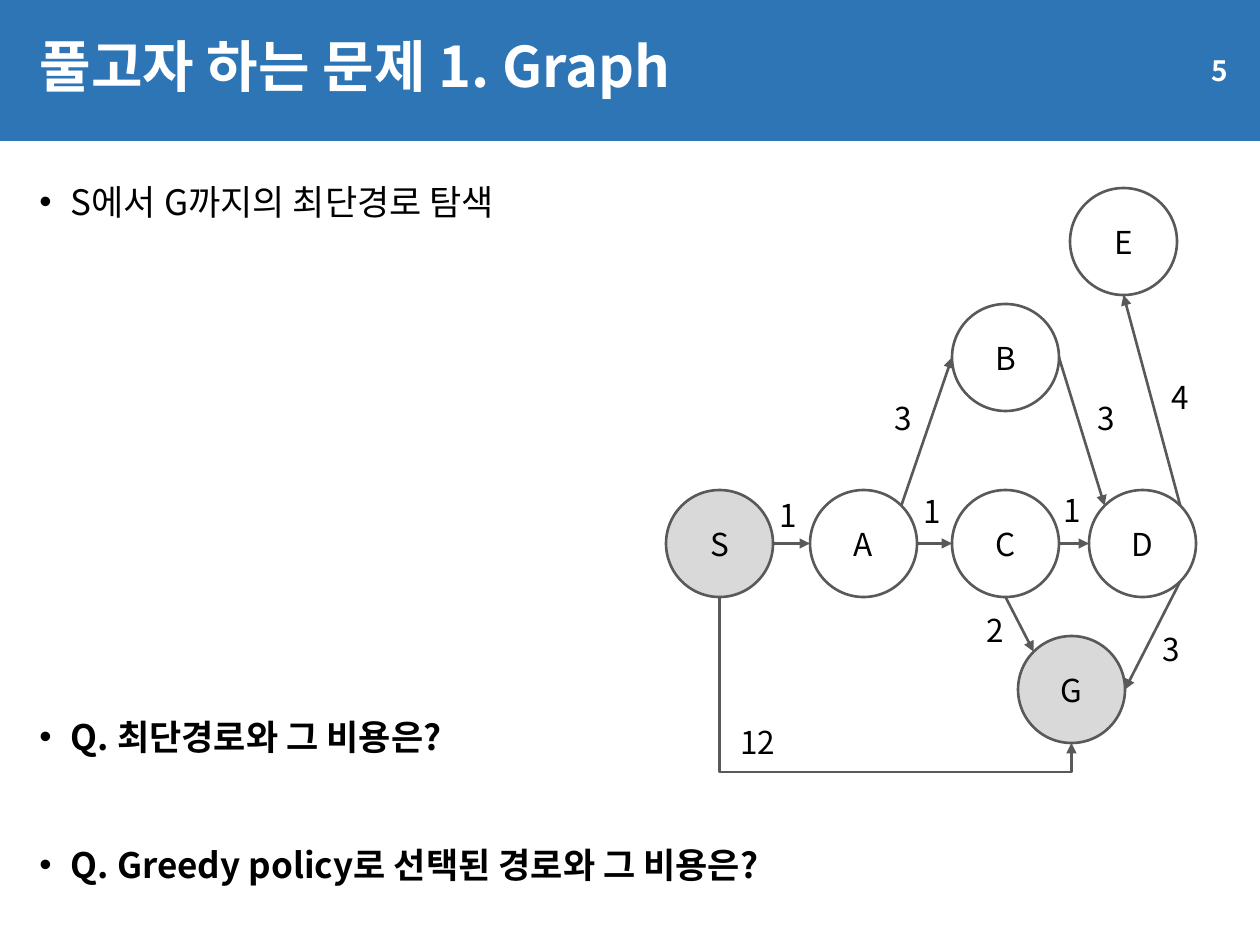
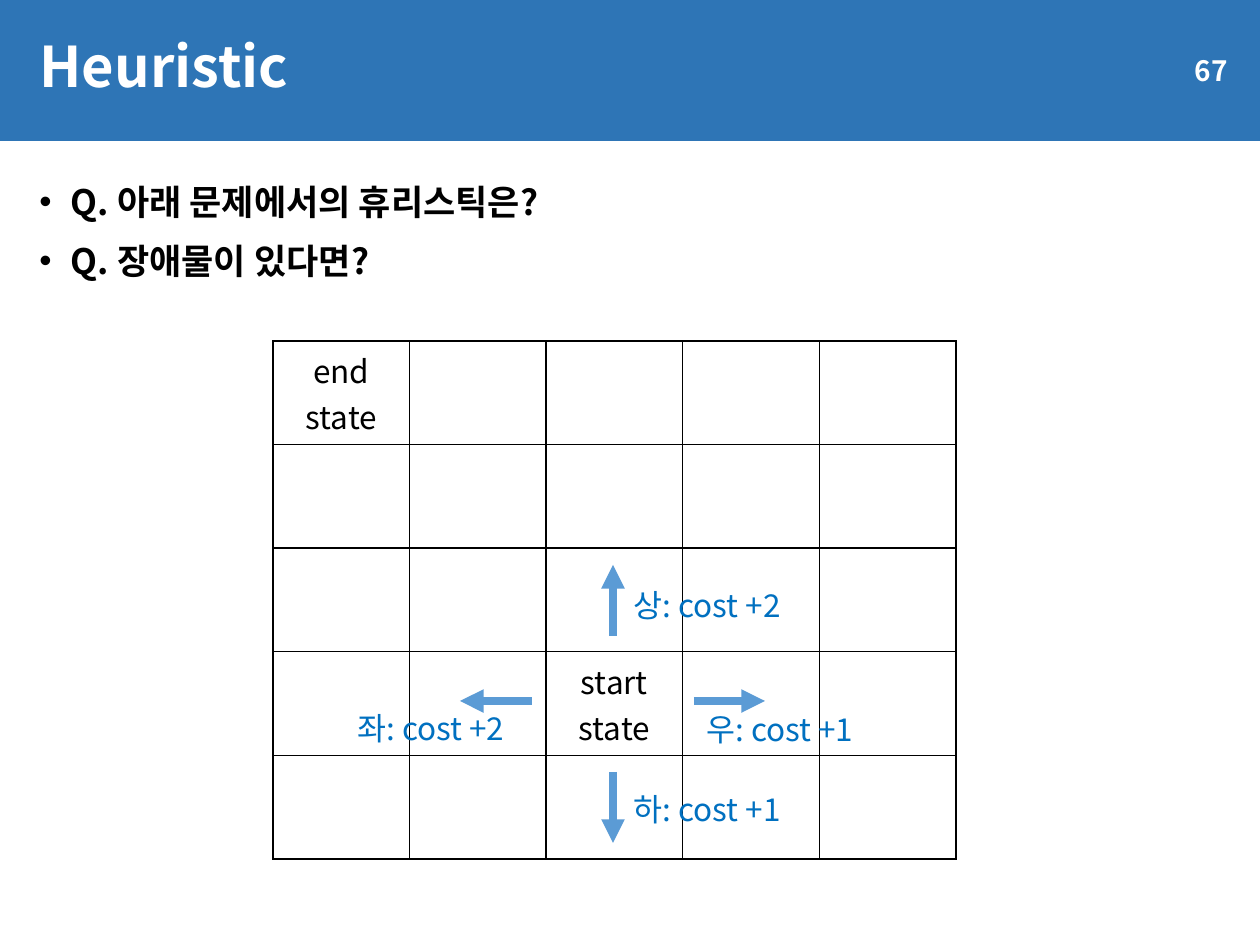
import math
from lxml import etree
from pptx import Presentation
from pptx import util as u
from pptx.dml.color import RGBColor
from pptx.enum import shapes, text
from pptx.oxml.ns import qn

SCALE = u.Inches(1) / 126
FACE = "Noto Sans CJK KR"
BLUE, WHITE, BLACK = "2E75B6", "FFFFFF", "000000"
GREY, SHADE, SKY, COST = "595959", "D9D9D9", "5B9BD5", "0070C0"
LEFT, MID, RIGHT = text.PP_ALIGN.LEFT, text.PP_ALIGN.CENTER, text.PP_ALIGN.RIGHT

TITLE = {"size": u.Pt(32), "bold": True}
PAGE = {"size": u.Pt(16), "bold": True}
PLAIN = {"size": u.Pt(20), "bold": False}
STRONG = {"size": u.Pt(20), "bold": True}
LABEL = {"size": u.Pt(18), "bold": False}

DIAM = 107
NODES = {  # left, top, fill
    "S": (666, 490, SHADE), "A": (810, 490, WHITE), "C": (952, 490, WHITE),
    "B": (952, 304, WHITE), "D": (1089, 490, WHITE), "G": (1018, 636, SHADE),
    "E": (1070, 188, WHITE),
}
EDGES = [  # from, angle, to, angle, cost, label left, label top
    ("S", 0, "A", 180, "1", 767, 490), ("A", 0, "C", 180, "1", 911, 486),
    ("A", -45, "B", 180, "3", 882, 393), ("B", 0, "D", -135, "3", 1085, 393),
    ("C", 0, "D", 180, "1", 1051, 485), ("D", 45, "G", 0, "3", 1150, 624),
    ("C", 90, "G", -135, "2", 974, 605), ("D", -45, "E", 90, "4", 1159, 372),
]
MOVES = [  # arrow start, arrow end, words, label left, label top
    ((532, 701), (460, 701), "좌: cost +2", 345, 703),
    ((613, 636), (613, 565), "상: cost +2", 621, 580),
    ((694, 701), (765, 701), "우: cost +1", 694, 704),
    ((613, 772), (613, 843), "하: cost +1", 621, 784),
]


def px(*vals):
    return [round(v * SCALE) for v in vals]


def rgb(code):
    return RGBColor.from_string(code)


def paint(part, code):
    part.fill.solid()
    part.fill.fore_color.rgb = rgb(code)


def sub(node, tag, **attrs):
    return etree.SubElement(node, qn(tag), attrs)


def write(para, words, look, color, align=LEFT):
    para.alignment = align
    run = para.add_run()
    run.text = words
    for key, val in look.items():
        setattr(run.font, key, val)
    run.font.color.rgb = rgb(color)
    run.font.name = FACE
    sub(run.font._element, "a:ea", typeface=FACE)


def block(slide, kind, box, fill, edge=None):
    shape = slide.shapes.add_shape(kind, *px(*box))
    shape.shadow.inherit = False
    paint(shape, fill)
    if edge:
        shape.line.color.rgb = rgb(edge)
        shape.line.width = u.Pt(1.5)
    else:
        shape.line.fill.background()
    return shape


def label(slide, words, x, y, wide, color=BLACK):
    box = slide.shapes.add_textbox(*px(x, y, wide, 50))
    box.text_frame.word_wrap = False
    box.text_frame.auto_size = text.MSO_AUTO_SIZE.SHAPE_TO_FIT_TEXT
    write(box.text_frame.paragraphs[0], words, LABEL, color)


def arrow(slide, start, end, color=GREY, width=1.5,
          kind=shapes.MSO_CONNECTOR.STRAIGHT):
    line = slide.shapes.add_connector(kind, *px(*start, *end))
    line.line.color.rgb = rgb(color)
    line.line.width = u.Pt(width)
    props = line.element.spPr
    sub(props.find(qn("a:ln")), "a:tailEnd", type="triangle")
    sub(props, "a:effectLst")
    return line


def elbow(slide, start, end, bend):
    """Draw a down-across-up arrow: a flipped elbow turned by 270 degrees."""
    (ax, ay), (bx, by) = start, end
    mx, my = (ax + bx) / 2, (ay + by) / 2
    dx, dy = (by - ay) / 2, (bx - ax) / 2
    line = arrow(slide, (mx + dx, my - dy), (mx - dx, my + dy),
                 kind=shapes.MSO_CONNECTOR.ELBOW)
    props = line.element.spPr
    props.find(qn("a:xfrm")).set("rot", str(270 * 60000))
    guides = props.find(qn("a:prstGeom")).find(qn("a:avLst"))
    sub(guides, "a:gd", name="adj1", fmla=f"val {round(bend * 100000)}")


def bullets(slide, items):
    """Each item is words, look and the space before it in points."""
    frame = slide.shapes.add_textbox(*px(27, 174, 1212, 751)).text_frame
    frame.word_wrap = True
    for i, (words, look, gap) in enumerate(items):
        para = frame.add_paragraph() if i else frame.paragraphs[0]
        props = para._p.get_or_add_pPr()
        props.set("marL", str(u.Inches(0.25)))
        props.set("indent", str(-u.Inches(0.25)))
        sub(props, "a:buFont", typeface="Arial")
        sub(props, "a:buChar", char="•")
        if gap:
            para.space_before = u.Pt(gap)
        write(para, words, look, BLACK)


def page(deck, name, number):
    slide = deck.slides.add_slide(deck.slide_layouts[5])
    rect = shapes.MSO_SHAPE.RECTANGLE
    band = block(slide, rect, (0, 0, 1260, 141), BLUE).element
    band.getparent().insert(2, band)
    title = slide.shapes.title
    title.left, title.top, title.width, title.height = px(27, 16, 1212, 107)
    paint(title, BLUE)
    title.text_frame.vertical_anchor = text.MSO_ANCHOR.MIDDLE
    para = title.text_frame.paragraphs[0]
    para.line_spacing = 0.9
    write(para, name, TITLE, WHITE)
    tag = block(slide, rect, (1070, 45, 170, 50), BLUE)
    write(tag.text_frame.paragraphs[0], number, PAGE, WHITE, RIGHT)
    return slide


def site(name, angle):
    """Point on the rim of a node, clockwise from the right."""
    x, y, _ = NODES[name]
    turn, half = math.radians(angle), DIAM / 2
    return x + half + half * math.cos(turn), y + half + half * math.sin(turn)


def graph(slide):
    for name, (x, y, fill) in NODES.items():
        node = block(slide, shapes.MSO_SHAPE.OVAL, (x, y, DIAM, DIAM), fill, GREY)
        write(node.text_frame.paragraphs[0], name, LABEL, BLACK, MID)
    for a, out, b, into, cost, x, y in EDGES:
        arrow(slide, site(a, out), site(b, into))
        label(slide, cost, x, y, 43)
    elbow(slide, site("S", 90), site("G", 90), 1.2)
    label(slide, "12", 728, 717, 60)


def border(cell):
    props = cell._tc.get_or_add_tcPr()
    for i, side in enumerate(("lnL", "lnR", "lnT", "lnB")):
        line = etree.Element(qn(f"a:{side}"), w=str(u.Pt(1)))
        sub(sub(line, "a:solidFill"), "a:srgbClr", val=BLACK)
        props.insert(i, line)


def grid(slide, size, words):
    table = slide.shapes.add_table(size, size, *px(273, 341, 683, 518)).table
    table.first_row = table.horz_banding = False
    for cell in table.iter_cells():
        cell.fill.background()
        border(cell)
    for (row, col), lines in words.items():
        cell = table.cell(row, col)
        cell.vertical_anchor = text.MSO_ANCHOR.MIDDLE
        frame = cell.text_frame
        for i, line in enumerate(lines):
            para = frame.add_paragraph() if i else frame.paragraphs[0]
            write(para, line, LABEL, BLACK, MID)


def main():
    deck = Presentation()
    deck.slide_width, deck.slide_height = px(1260, 945)

    slide = page(deck, "풀고자 하는 문제 1. Graph", "5")
    bullets(slide, [
        ("S에서 G까지의 최단경로 탐색", PLAIN, 0),
        ("Q. 최단경로와 그 비용은?", STRONG, 282),
        ("Q. Greedy policy로 선택된 경로와 그 비용은?", STRONG, 49),
    ])
    graph(slide)

    slide = page(deck, "Heuristic", "67")
    bullets(slide, [
        ("Q. 아래 문제에서의 휴리스틱은?", STRONG, 0),
        ("Q. 장애물이 있다면?", STRONG, 10),
    ])
    grid(slide, 5, {(0, 0): ["end state"], (3, 2): ["start", "state"]})
    for start, end, words, x, y in MOVES:
        arrow(slide, start, end, SKY, 4.5)
        label(slide, words, x, y, 185, COST)

    deck.save("out.pptx")


if __name__ == "__main__":
    main()
